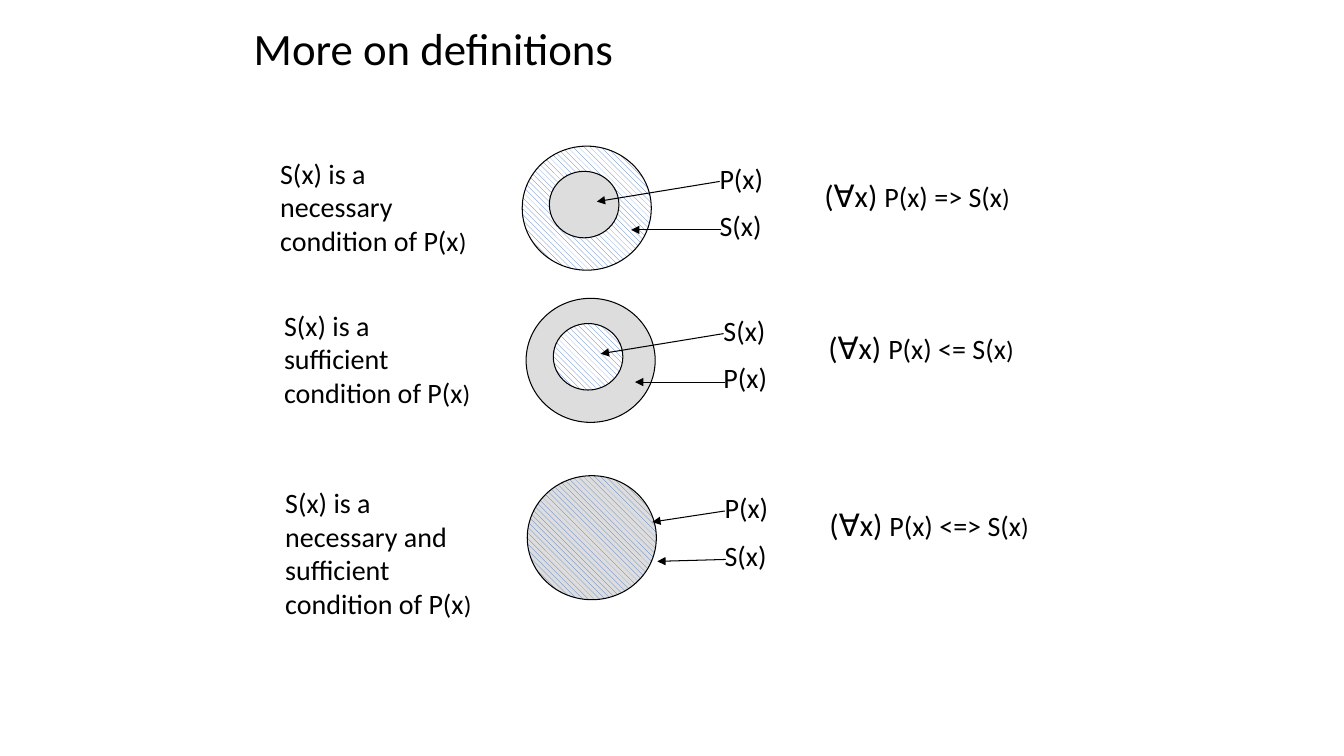
from lxml import etree
from pptx import Presentation
from pptx import util as u
from pptx.dml.color import RGBColor
from pptx.enum import dml, shapes, text
from pptx.oxml.ns import qn

Pt = u.Pt
COLORS = {"ink": "000000", "gray": "DDDDDD", "hatch": "4472C4", "white": "FFFFFF"}
color = {name: RGBColor.from_string(value) for name, value in COLORS.items()}

deck = Presentation()
deck.slide_width, deck.slide_height = Pt(960), Pt(540)
slide = deck.slides.add_slide(deck.slide_layouts[6])


def write(paragraphs, left, top, width, height, anchor=text.MSO_ANCHOR.TOP, spacing=None):
    box = slide.shapes.add_textbox(Pt(left), Pt(top), Pt(width), Pt(height))
    frame = box.text_frame
    frame.word_wrap = True
    frame.vertical_anchor = anchor
    for index, runs in enumerate(paragraphs):
        paragraph = frame.add_paragraph() if index else frame.paragraphs[0]
        paragraph.space_before = Pt(10 if index else 0)
        paragraph.line_spacing = spacing
        for words, size in runs:
            run = paragraph.add_run()
            run.text = words
            run.font.name = "Calibri"
            run.font.size = Pt(size)
            run.font.color.rgb = color["ink"]


write([[("More on definitions", 32)]], 174.2, 12.2, 612, 48.2,
      anchor=text.MSO_ANCHOR.MIDDLE, spacing=0.9)

outer, inner = (0, 0, 92.2, 88.6), (19.4, 18, 49.7, 47.5)
nested_tips = [(53.3, 39.6), (77.8, 59.8)]
equal_tips = [(89.3, 33.1), (92.9, 61.2)]
arrow_starts = [(141.1, 25.2), (141.8, 59.8)]

conditions = [
    (373, 104.4, "necessary", "=>", ["P(x)", "S(x)"],
     [(outer, "white", True), (inner, "gray", False)], nested_tips, 80),
    (375.8, 213.1, "sufficient", "<=", ["S(x)", "P(x)"],
     [(outer, "gray", False), (inner, "white", True)], nested_tips, 80),
    (376.6, 339.8, "necessary and sufficient", "<=>", ["P(x)", "S(x)"],
     [(outer, "gray", True)], equal_tips, 108),
]

for x, y, kind, relation, set_names, sets, tips, height in conditions:
    for (dx, dy, width, tall), base, hatched in sets:
        circle = slide.shapes.add_shape(
            shapes.MSO_SHAPE.OVAL, Pt(x + dx), Pt(y + dy), Pt(width), Pt(tall))
        circle.shadow.inherit = False
        circle.line.color.rgb = color["ink"]
        circle.line.width = Pt(0.75)
        if hatched:
            circle.fill.patterned()
            circle.fill.pattern = dml.MSO_PATTERN.WIDE_DOWNWARD_DIAGONAL
            circle.fill.fore_color.rgb = color["hatch"]
            circle.fill.back_color.rgb = color[base]
        else:
            circle.fill.solid()
            circle.fill.fore_color.rgb = color[base]

    write([[(name, 20)] for name in set_names], x + 133.9, y + 7.2, 74.2, 67)

    for (start_x, start_y), (tip_x, tip_y) in zip(arrow_starts, tips):
        arrow = slide.shapes.add_connector(
            shapes.MSO_CONNECTOR.STRAIGHT,
            Pt(x + start_x), Pt(y + start_y), Pt(x + tip_x), Pt(y + tip_y))
        arrow.line.color.rgb = color["ink"]
        arrow.line.width = Pt(0.75)
        etree.SubElement(arrow.line._get_or_add_ln(), qn("a:tailEnd"), type="triangle")
        etree.SubElement(arrow._element.spPr, qn("a:effectLst"))

    write([[(f"S(x) is a {kind} condition of P(x", 20), (")", 18)]],
          x - 180, y + 3.6, 152.6, height)
    write([[("(∀x) ", 22), (f"P(x) {relation} S(x", 20), (")", 18)]],
          x + 208.8, y + 18, 181, 34)

deck.save("out.pptx")
